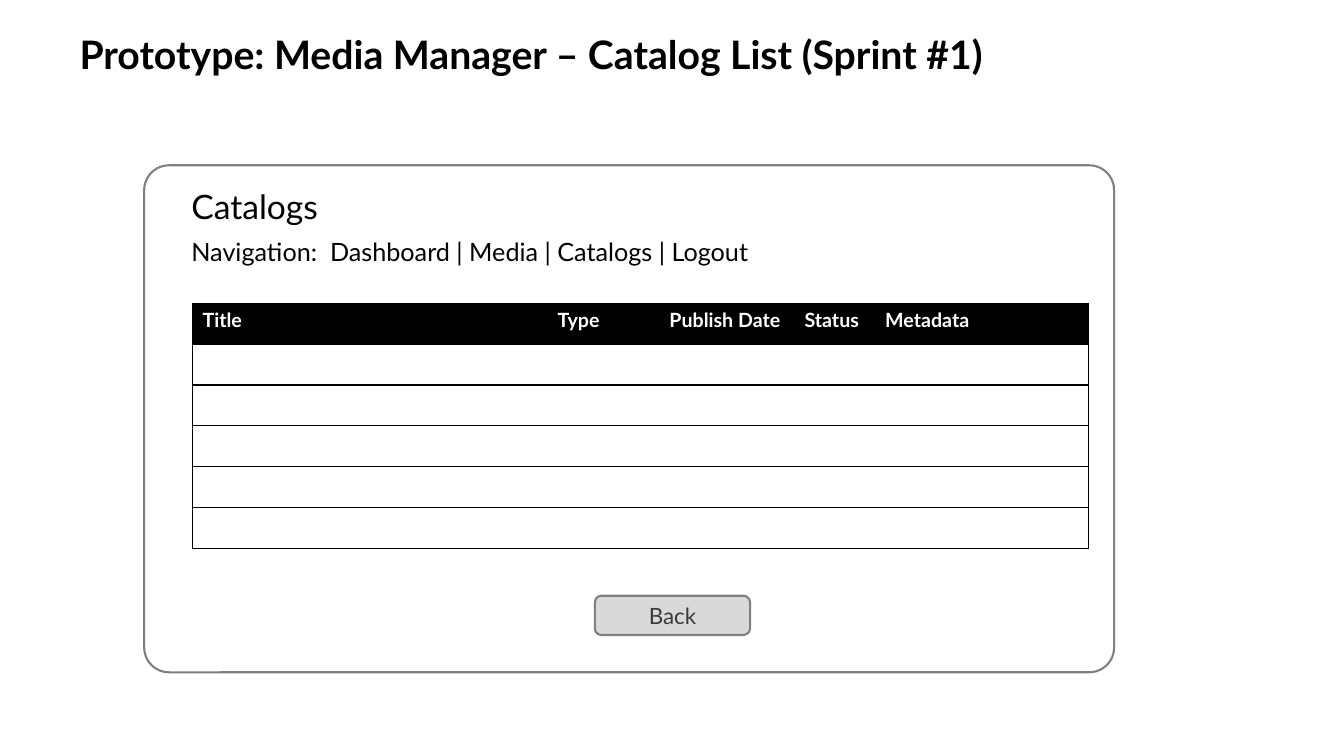
from lxml import etree
from pptx import Presentation
from pptx import util as u
from pptx.dml.color import RGBColor
from pptx.enum import shapes, text
from pptx.oxml import ns

Inches = u.Inches
BLACK, WHITE, GRAY = "000000", "FFFFFF", "808080"


def color(value):
    return RGBColor.from_string(value)


def write(frame, words, size=18, ink=BLACK, bold=False, align=None):
    para = frame.paragraphs[0]
    para.alignment = align
    span = para.add_run()
    span.text = words
    span.font.name = "Lato"
    span.font.size = u.Pt(size)
    span.font.bold = bold
    span.font.color.rgb = color(ink)


deck = Presentation()
deck.slide_width, deck.slide_height = Inches(13.33), Inches(7.5)
page = deck.slides.add_slide(deck.slide_layouts[6])

# Window panel and back button
rounded = shapes.MSO_SHAPE.ROUNDED_RECTANGLE
panel = page.shapes.add_shape(rounded, Inches(1.43), Inches(1.64), Inches(9.62), Inches(5.03))
panel.adjustments[0] = 0.049
button = page.shapes.add_shape(rounded, Inches(5.9), Inches(5.91), Inches(1.54), Inches(0.39))
for shape, fill in ((panel, WHITE), (button, "D9D9D9")):
    shape.shadow.inherit = False
    shape.fill.solid()
    shape.fill.fore_color.rgb = color(fill)
    shape.line.color.rgb = color(GRAY)
    shape.line.width = u.Pt(1.5)
button.text_frame.vertical_anchor = text.MSO_ANCHOR.MIDDLE
write(button.text_frame, "Back", size=16, ink="3A3A3A", align=text.PP_ALIGN.CENTER)

# Title, heading and navigation
labels = [
    ("Prototype: Media Manager – Catalog List (Sprint #1)", 0.69, 0.25, 9.22, 0.57, 28, True),
    ("Catalogs", 1.8, 1.8, 1.5, 0.5, 24, False),
    ("Navigation:  Dashboard | Media | Catalogs | Logout", 1.8, 2.3, 5.76, 0.4, 18, False),
]
for words, left, top, width, height, size, bold in labels:
    box = page.shapes.add_textbox(Inches(left), Inches(top), Inches(width), Inches(height))
    box.text_frame.word_wrap = False
    box.text_frame.auto_size = text.MSO_AUTO_SIZE.SHAPE_TO_FIT_TEXT
    write(box.text_frame, words, size=size, bold=bold)

# Catalog table
columns = [("Title", 3.52), ("Type", 1.11), ("Publish Date", 1.34), ("Status", 0.8), ("Metadata", 2.12)]
row_count = 6
table = page.shapes.add_table(row_count, len(columns), Inches(1.91), Inches(3.01),
                              Inches(8.89), Inches(2.43)).table
table.horz_banding = False
for column, (heading, width) in zip(table.columns, columns):
    column.width = Inches(width)
for cell, (heading, width) in zip(table.rows[0].cells, columns):
    write(cell.text_frame, heading, size=14, ink=WHITE, bold=True)

# Cell fills and borders: horizontal rules and an outer frame
for row_index, row in enumerate(table.rows):
    for column_index, cell in enumerate(row.cells):
        cell.fill.solid()
        cell.fill.fore_color.rgb = color(BLACK if row_index == 0 else WHITE)
        properties = cell._tc.get_or_add_tcPr()
        sides = [("a:lnL", column_index == 0), ("a:lnR", column_index == len(columns) - 1),
                 ("a:lnT", True), ("a:lnB", True)]
        for position, (side, visible) in enumerate(sides):
            border = etree.Element(ns.qn(side), w=str(u.Pt(1)))
            if visible:
                paint = etree.SubElement(border, ns.qn("a:solidFill"))
                etree.SubElement(paint, ns.qn("a:srgbClr"), val=BLACK)
            else:
                etree.SubElement(border, ns.qn("a:noFill"))
            properties.insert(position, border)

deck.save("out.pptx")
